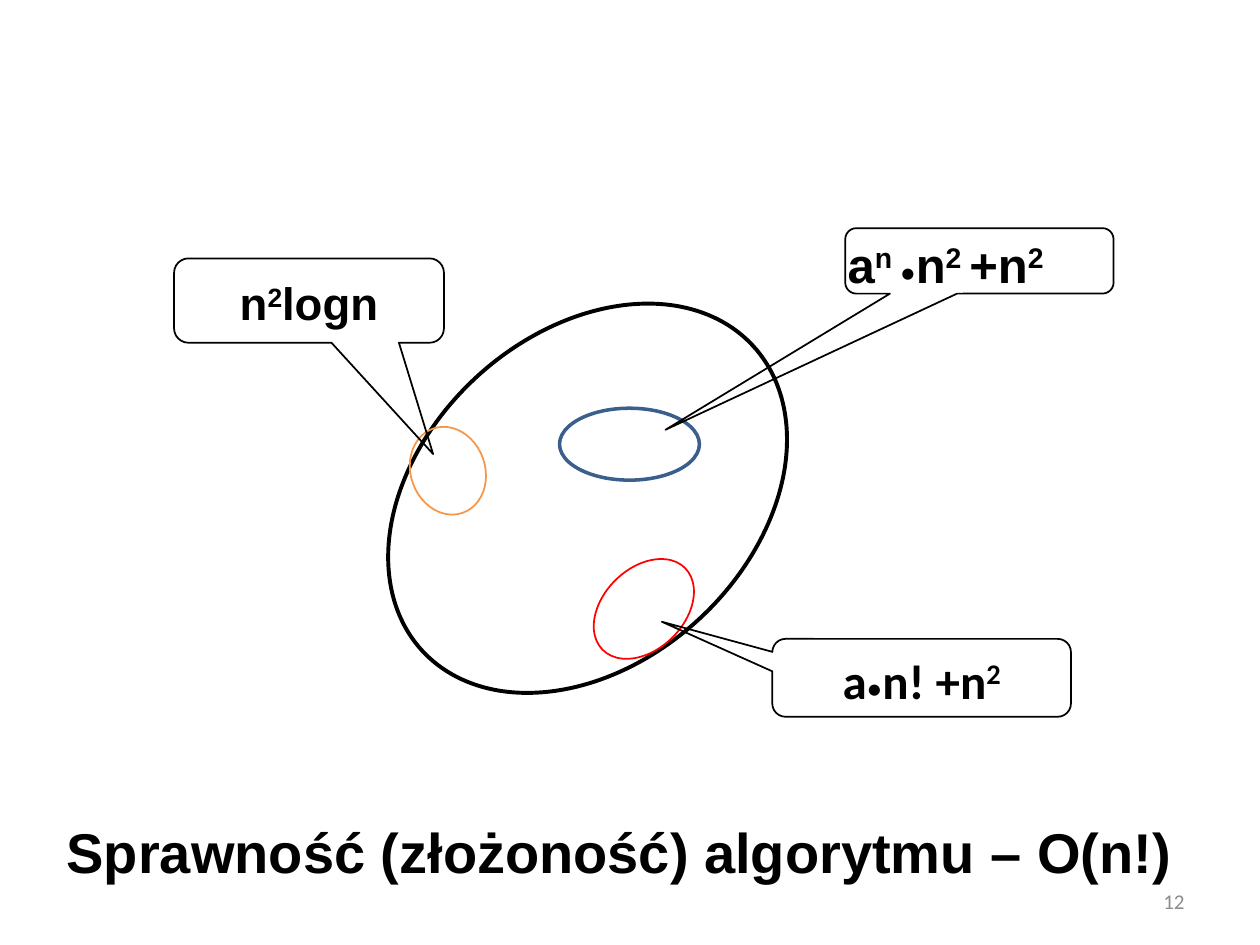
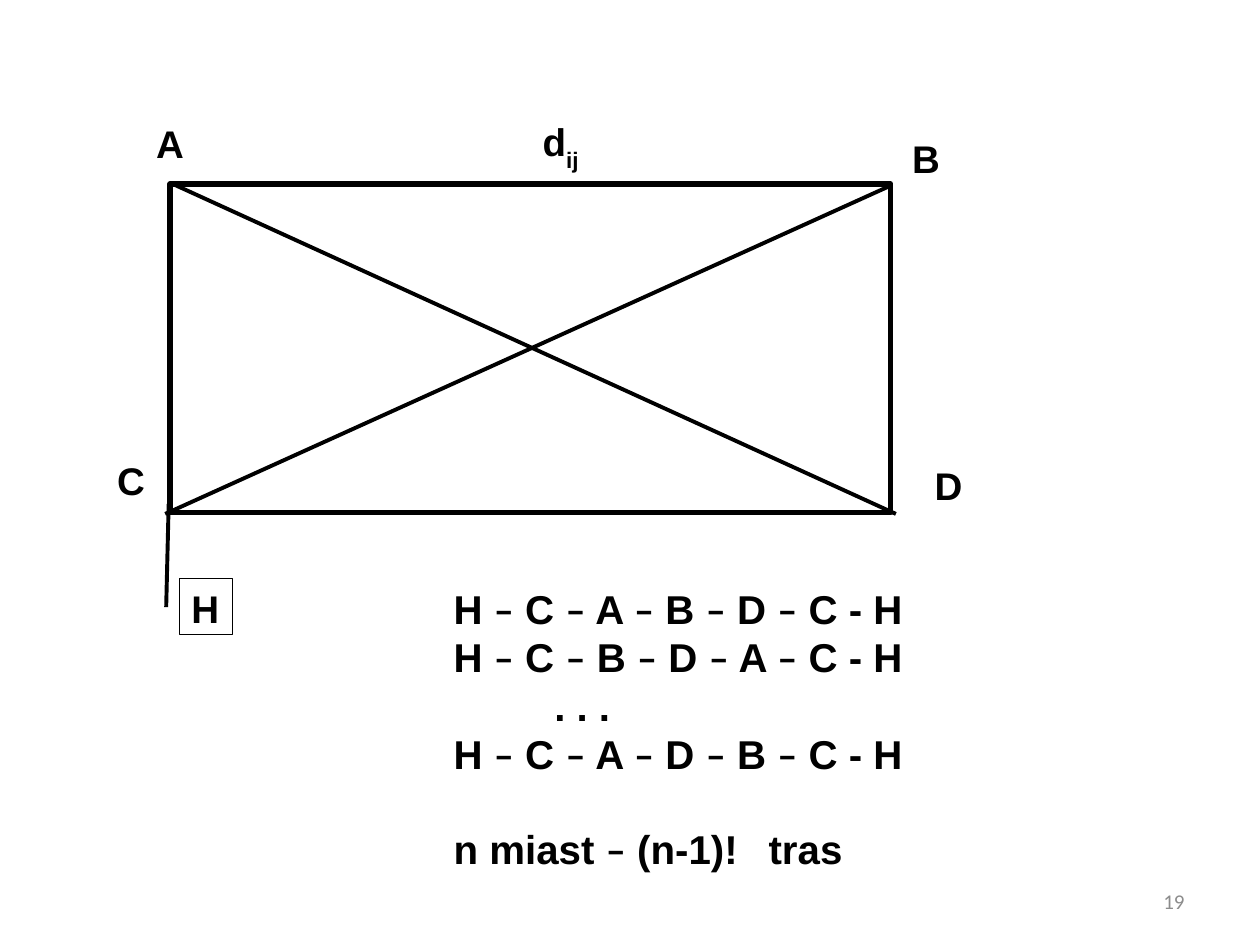
from lxml.etree import SubElement
from pptx import Presentation
from pptx.dml.color import RGBColor
from pptx.enum.shapes import MSO_CONNECTOR, MSO_SHAPE
from pptx.enum.text import MSO_ANCHOR, MSO_AUTO_SIZE, PP_ALIGN
from pptx.oxml.ns import qn
from pptx.util import Cm, Pt

# Shared look
BLACK, WHITE, GREY = "000000", "FFFFFF", "8C8C8C"
HEAVY = 2.25
BULLET = {"name": "Calibri", "size": 18, "bold": False}
UP, DOWN = {"baseline": 30}, {"baseline": -30}
LOOSE = {"line_spacing": 1.07, "space_after": Pt(8)}
CENTRED = {"alignment": PP_ALIGN.CENTER, **LOOSE}
NUMBER_PLACE = (18.21, 17.65, 5.92, 1.02)

# Algorithm complexity: places are left, top, width, height in cm
CONCLUSION = "Sprawność (złożoność) algorytmu – O(n!)"
CONCLUSION_PLACE = (1.09, 16.26, 22.96, 1.73)
REGIONS = [  # place, rotation, colour, line width
    ((8.53, 5.51, 6.63, 9.07), 47.3, BLACK, HEAVY),
    ((11.28, 8.23, 2.82, 1.45), 0, "3A5F8C", 2),
    ((8.28, 8.59, 1.5, 1.8), 340.7, "F79646", 1),
    ((11.81, 11.46, 2.34, 1.63), 315.3, "FF0000", 1),
]
CALLOUTS = [  # place, pointer tip, text format, spans
    ((3.51, 5.21, 5.44, 1.7), (0.46, 1.82), {"size": 26},
     [("n", {}), ("2", UP), ("logn", {})]),
    ((17.04, 4.6, 5.41, 1.32), (-1.17, 2.58), {}, []),
    ((15.57, 12.88, 6.02, 1.57), (-0.87, -0.72), {"size": 28, "name": "Calibri"},
     [("a", {}), ("•", BULLET), ("n! +n", {}), ("2", UP)]),
]
EXPONENTIAL_PLACE = (16.84, 4.6, 4.78, 1.45)
EXPONENTIAL = [("a", {}), ("n ", UP), ("•", BULLET), ("n", {}),
               ("2 ", UP), ("+n", {}), ("2", UP)]

# City graph
MAP_PLACE = (3.43, 3.71, 14.53, 6.63)
ROADS = [(3.53, 3.73, 18.06, 10.36), (3.33, 10.36, 17.98, 3.73),
         (3.35, 12.24, 3.4, 10.16)]
CITIES = [  # left, top, width, spans, framed
    (2.9, 2.29, 1.07, [("A", {})], False),
    (10.69, 2.26, 1.6, [("d", {}), ("ij", DOWN)], False),
    (2.11, 9.09, 1.07, [("C", {})], False),
    (18.14, 2.59, 1.07, [("B", {})], False),
    (18.59, 9.19, 1.07, [("D", {})], False),
    (3.61, 11.66, 1.07, [("H", {})], True),
]
CITY_HEIGHT = 1.14
ROUTES_PLACE = (8.89, 9.8, 16.21, 8.94)
ROUTES = [  # text, indent in cm, space before in points
    ("H – C – A – B – D – C - H", 0, 0),
    ("H – C – B – D – A – C - H", 0, 0),
    (". . .", 2.03, 0),
    ("H – C – A – D – B – C - H", 0, 0),
    ("n miast – (n-1)!\ttras", 0, 27),
]
TAB_STOP = 6.63


def colour(hex_code):
    return RGBColor.from_string(hex_code)


def lengths(values):
    return [Cm(value) for value in values]


def apply(target, values):
    for name, value in values.items():
        setattr(target, name, value)


def write(para, spans, text_format, para_format):
    """Fill a paragraph with spans that vary a common text format."""
    apply(para, para_format)
    for text, changes in spans:
        span = para.add_run()
        span.text = text
        look = {"name": "Arial", "bold": True, "color": BLACK, "baseline": 0,
                **text_format, **changes}
        span.font.color.rgb = colour(look.pop("color"))
        baseline = look.pop("baseline")
        look["size"] = Pt(look["size"])
        apply(span.font, look)
        if baseline:
            span._r.get_or_add_rPr().set("baseline", str(baseline * 1000))


def place(box, position):
    apply(box, dict(zip(("left", "top", "width", "height"), lengths(position))))


def add_outline(page, kind, position, line=BLACK, width=1.0, fill=None):
    box = page.shapes.add_shape(kind, *lengths(position))
    box.shadow.inherit = False
    if fill:
        box.fill.solid()
        box.fill.fore_color.rgb = colour(fill)
    else:
        box.fill.background()
    if line:
        box.line.color.rgb = colour(line)
        box.line.width = Pt(width)
    else:
        box.line.fill.background()
    return box


def add_road(page, ends):
    road = page.shapes.add_connector(MSO_CONNECTOR.STRAIGHT, *lengths(ends))
    road.line.color.rgb = colour(BLACK)
    road.line.width = Pt(HEAVY)
    SubElement(road._element.spPr, qn("a:effectLst"))


def add_text(page, position, spans, text_format, para_format, frame_format):
    frame = page.shapes.add_textbox(*lengths(position)).text_frame
    apply(frame, frame_format)
    write(frame.paragraphs[0], spans, text_format, para_format)


def add_page_number(page, number):
    add_text(page, NUMBER_PLACE, [(number, {})],
             {"name": "Calibri", "size": 12, "bold": False, "color": GREY},
             {"alignment": PP_ALIGN.RIGHT},
             {"word_wrap": True, "vertical_anchor": MSO_ANCHOR.MIDDLE})


def set_plain_list(para, indent):
    """Drop the bullet, set the indent and one tab stop."""
    props = para._p.get_or_add_pPr()
    props.set("marL", str(Cm(indent)))
    props.set("indent", "0")
    SubElement(props, qn("a:buNone"))
    stops = SubElement(props, qn("a:tabLst"))
    SubElement(stops, qn("a:tab"), pos=str(Cm(TAB_STOP)), algn="l")


def build_complexity(deck):
    page = deck.slides.add_slide(deck.slide_layouts[5])
    add_page_number(page, "12")

    # Regions of the problem space
    for position, rotation, line, width in REGIONS:
        add_outline(page, MSO_SHAPE.OVAL, position, line, width).rotation = rotation

    # Cost of each region
    for position, tip, text_format, spans in CALLOUTS:
        box = add_outline(page, MSO_SHAPE.ROUNDED_RECTANGULAR_CALLOUT, position)
        for index, value in enumerate((*tip, 0.17)):
            box.adjustments[index] = value
        box.text_frame.vertical_anchor = MSO_ANCHOR.MIDDLE
        write(box.text_frame.paragraphs[0], spans, text_format, CENTRED)
    add_text(page, EXPONENTIAL_PLACE, EXPONENTIAL, {"size": 28}, {},
             {"word_wrap": False})

    # Conclusion
    title = page.shapes.title
    place(title, CONCLUSION_PLACE)
    apply(title.text_frame, {"word_wrap": False, "auto_size": MSO_AUTO_SIZE.NONE,
                             "vertical_anchor": MSO_ANCHOR.TOP})
    write(title.text_frame.paragraphs[0], [(CONCLUSION, {})], {"size": 32},
          {"alignment": PP_ALIGN.LEFT, **LOOSE})


def build_routes(deck):
    page = deck.slides.add_slide(deck.slide_layouts[1])
    title = page.shapes.title._element
    title.getparent().remove(title)
    add_page_number(page, "19")

    # Map with roads and city names
    add_outline(page, MSO_SHAPE.RECTANGLE, MAP_PLACE, width=3)
    for ends in ROADS[:2]:
        add_road(page, ends)
    for left, top, width, spans, framed in CITIES:
        box = add_outline(page, MSO_SHAPE.RECTANGLE, (left, top, width, CITY_HEIGHT),
                          BLACK if framed else None, 0.5, WHITE)
        box.text_frame.vertical_anchor = MSO_ANCHOR.TOP
        write(box.text_frame.paragraphs[0], spans, {"size": 22},
              {"alignment": PP_ALIGN.LEFT})
    add_road(page, ROADS[2])

    # Possible routes, with dashes in the second font
    body = page.placeholders[1]
    place(body, ROUTES_PLACE)
    frame = body.text_frame
    apply(frame, {"word_wrap": True, "auto_size": MSO_AUTO_SIZE.NONE,
                  "vertical_anchor": MSO_ANCHOR.TOP, "margin_top": Cm(1.98)})
    for index, (text, indent, gap) in enumerate(ROUTES):
        para = frame.add_paragraph() if index else frame.paragraphs[0]
        spans = []
        for part in text.split("–"):
            spans += [("–", {"name": "Calibri"}), (part, {})]
        write(para, spans[1:], {"size": 23}, {"space_before": Pt(gap)})
        set_plain_list(para, indent)


def main():
    deck = Presentation()
    deck.slide_width, deck.slide_height = Cm(25.4), Cm(19.05)
    build_complexity(deck)
    build_routes(deck)
    deck.save("out.pptx")


if __name__ == "__main__":
    main()
